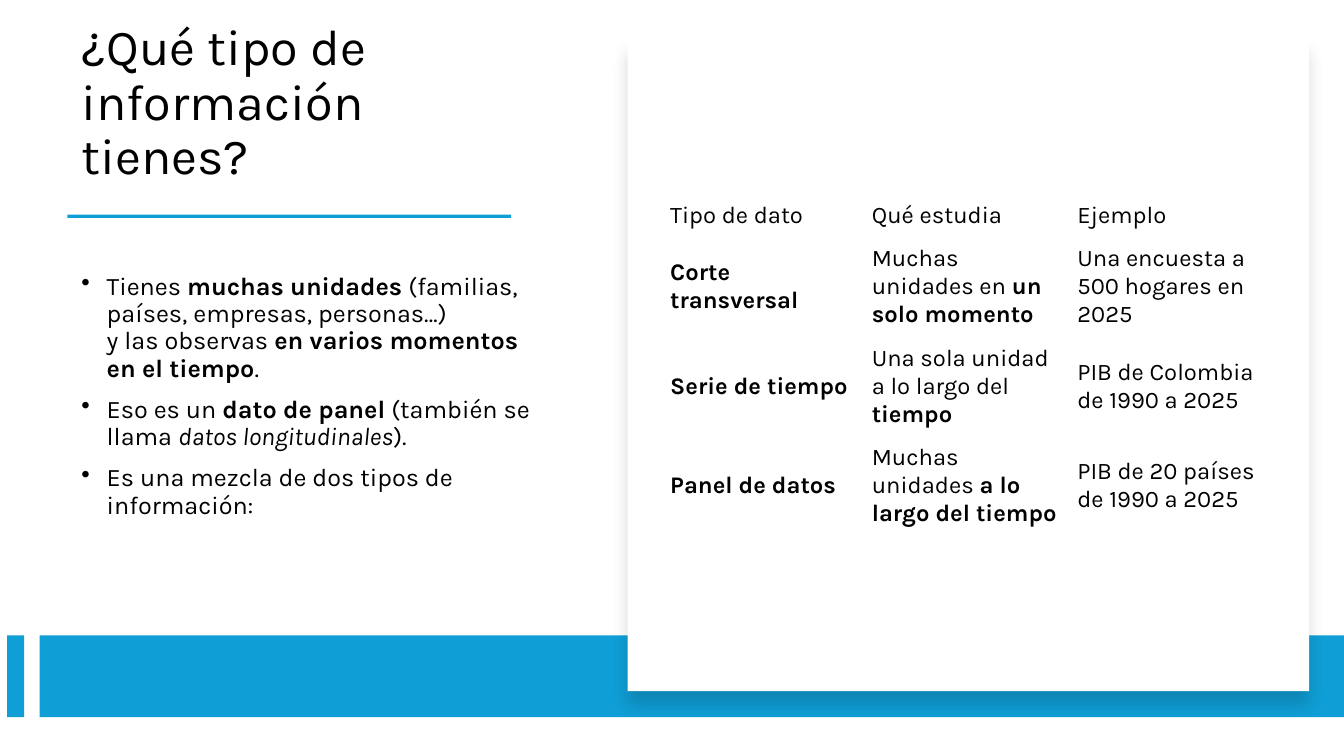
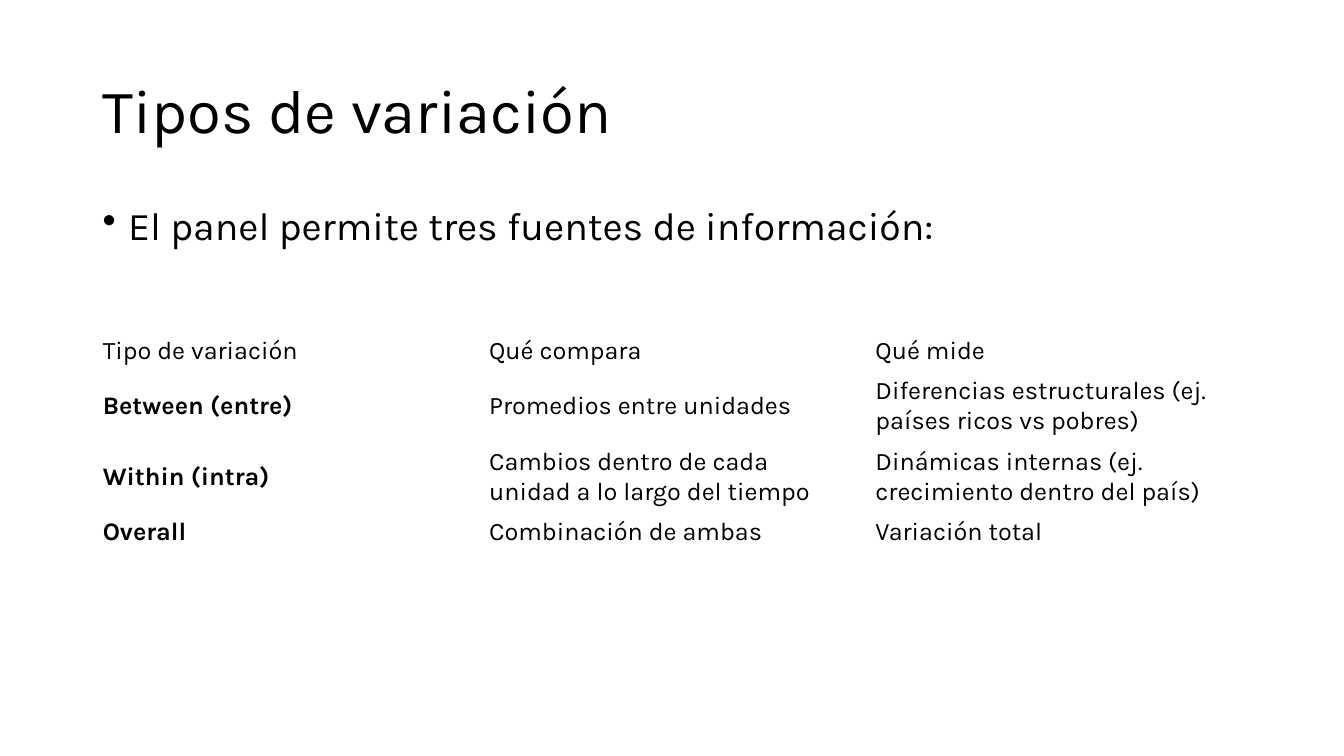
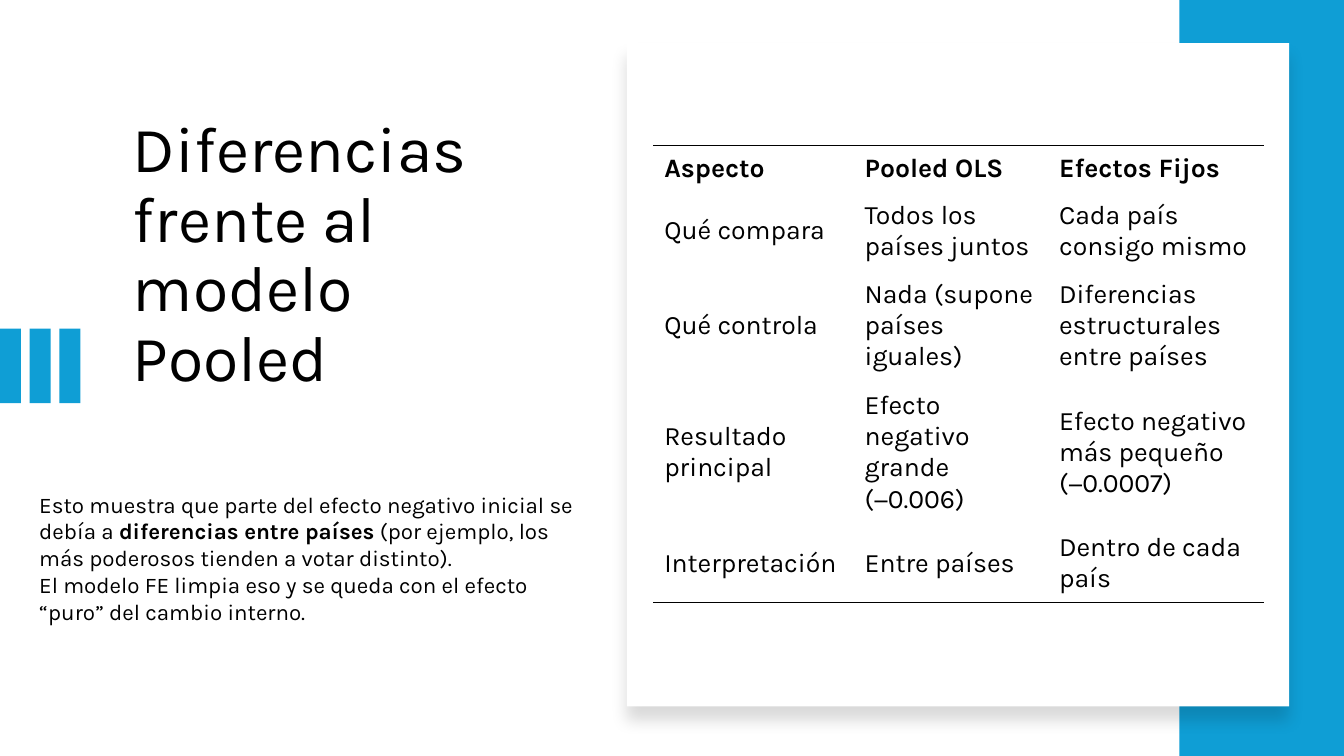
"""Build three slides on panel data with a shared theme."""
from dataclasses import dataclass

from lxml import etree
from pptx import Presentation, util as u
from pptx.dml.color import RGBColor
from pptx.enum import shapes, text
from pptx.oxml import parse_xml
from pptx.oxml.ns import nsdecls, qn

ANCHOR = text.MSO_ANCHOR


@dataclass(frozen=True)
class Theme:
    """Colours, font and type sizes of the deck."""
    font: str = "Karla"
    ink: str = "000000"
    accent: str = "0F9ED5"
    paper: str = "FFFFFF"
    small: int = 16
    table_small: int = 17
    body: int = 18
    table_large: int = 19
    lead: int = 28
    title_small: int = 36
    title: int = 44
    title_large: int = 46
    line_spacing: float = 0.9
    paragraph_gap: int = 10
    bullet_indent: float = 0.64
    plain_table: str = "{2D5ABB26-0587-4C30-8999-92F81FD0307C}"


THEME = Theme()


def apply(target, values):
    """Set each attribute of the target from a dict."""
    for name, value in values.items():
        setattr(target, name, value)


def cm(*lengths):
    """Convert numbers to centimetre lengths."""
    return [u.Cm(length) for length in lengths]


def bold(words):
    """Mark words as bold."""
    return words, {"bold": True}


def italic(words):
    """Mark words as italic."""
    return words, {"italic": True}


def fill_para(para, spans, size):
    """Write plain or marked spans, turning newlines into line breaks."""
    for item in spans:
        words, style = (item, {}) if isinstance(item, str) else item
        for number, line in enumerate(words.split("\n")):
            if number:
                para.add_line_break()
            span = para.add_run()
            span.text = line
            apply(span.font, {"name": THEME.font, "size": u.Pt(size), **style})
            span.font.color.rgb = RGBColor.from_string(THEME.ink)


def add_bullet(para):
    """Give the paragraph a bullet with a hanging indent."""
    props = para._p.get_or_add_pPr()
    indent = u.Cm(THEME.bullet_indent)
    props.set("marL", str(indent))
    props.set("indent", str(-indent))
    etree.SubElement(props, qn("a:buChar")).set("char", "•")


def add_text(page, place, paras, size, anchor=ANCHOR.TOP,
             spacing=THEME.line_spacing, bullets=False):
    """Add a wrapped text box of paragraphs, each a list of spans."""
    frame = page.shapes.add_textbox(*cm(*place)).text_frame
    apply(frame, {"word_wrap": True, "vertical_anchor": anchor})
    for number, spans in enumerate(paras):
        para = frame.add_paragraph() if number else frame.paragraphs[0]
        if bullets:
            add_bullet(para)
        para.line_spacing = spacing
        if number:
            para.space_before = u.Pt(THEME.paragraph_gap)
        fill_para(para, spans, size)


def add_title(page, place, words, size=THEME.title, anchor=ANCHOR.TOP):
    """Add a slide title."""
    add_text(page, place, [[words]], size, anchor)


def add_block(page, place, colour=THEME.accent):
    """Add a flat rectangle without outline."""
    block = page.shapes.add_shape(shapes.MSO_SHAPE.RECTANGLE, *cm(*place))
    block.shadow.inherit = False
    block.fill.solid()
    block.fill.fore_color.rgb = RGBColor.from_string(colour)
    block.line.fill.background()
    return block


def add_card(page, place):
    """Add a white panel with a soft shadow below it."""
    card = add_block(page, place, THEME.paper)
    effects = card._element.spPr.find(qn("a:effectLst"))
    effects.append(parse_xml(
        f'<a:outerShdw {nsdecls("a")} blurRad="{u.Pt(11)}" dist="{u.Pt(10)}" '
        'dir="5400000" algn="t" rotWithShape="0">'
        f'<a:srgbClr val="{THEME.ink}"><a:alpha val="15000"/></a:srgbClr>'
        '</a:outerShdw>'))


def add_border(cell, side):
    """Draw a one-point rule on the given side of a cell."""
    cell._tc.get_or_add_tcPr().insert(0, parse_xml(
        f'<a:ln{side} {nsdecls("a")} w="{u.Pt(1)}"><a:solidFill>'
        f'<a:srgbClr val="{THEME.ink}"/></a:solidFill></a:ln{side}>'))


def add_table(page, corner, widths, heights, rows, size, margin=0.25, ruled=False):
    """Add an unfilled table, optionally ruled above and below."""
    place = (*corner, sum(widths), sum(heights))
    table = page.shapes.add_table(len(rows), len(widths), *cm(*place)).table
    apply(table, {"first_row": False, "horz_banding": False})
    table._tbl.tblPr.find(qn("a:tableStyleId")).text = THEME.plain_table
    for column, width in zip(table.columns, widths):
        column.width = u.Cm(width)
    for row, height in zip(table.rows, heights):
        row.height = u.Cm(height)
    for r, row in enumerate(rows):
        for c, spans in enumerate(row):
            cell = table.cell(r, c)
            apply(cell, {"vertical_anchor": ANCHOR.MIDDLE,
                         "margin_left": u.Cm(margin), "margin_right": u.Cm(margin)})
            cell.fill.background()
            fill_para(cell.text_frame.paragraphs[0], spans, size)
            if ruled and r == 0:
                add_border(cell, "T")
            if ruled and r == len(rows) - 1:
                add_border(cell, "B")


def build_data_types(page):
    """Compare the three types of data."""
    add_title(page, (1.8, 1.47, 11.89, 3.33), "¿Qué tipo de información tienes?",
              THEME.title_small, ANCHOR.BOTTOM)
    add_block(page, (1.7, 5.41, 11.18, 0.08))
    add_text(page, (1.8, 5.64, 11.89, 8.71), [
        ["Tienes ", bold("muchas unidades"),
         " (familias, países, empresas, personas…)\ny las observas ",
         bold("en varios momentos en el tiempo"), "."],
        ["Eso es un ", bold("dato de panel"), " (también se llama ",
         italic("datos longitudinales"), ")."],
        ["Es una mezcla de dos tipos de información:"],
    ], THEME.body, ANCHOR.MIDDLE, bullets=True)
    for left, width in ((0.18, 0.43), (1, 32.87)):
        add_block(page, (left, 16.01, width, 2.06))
    add_card(page, (15.82, 0.99, 17.17, 16.43))
    add_table(page, (16.64, 4.9), (5.08, 5.18, 5.36), [1.07] + [2.51] * 3, [
        [["Tipo de dato"], ["Qué estudia"], ["Ejemplo"]],
        [[bold("Corte transversal")],
         ["Muchas unidades en ", bold("un solo momento")],
         ["Una encuesta a 500 hogares en 2025"]],
        [[bold("Serie de tiempo")],
         ["Una sola unidad a lo largo del ", bold("tiempo")],
         ["PIB de Colombia de 1990 a 2025"]],
        [[bold("Panel de datos")],
         ["Muchas unidades ", bold("a lo largo del tiempo")],
         ["PIB de 20 países de 1990 a 2025"]],
    ], THEME.table_small)


def build_variation(page):
    """List the sources of variation in a panel."""
    left, width = 2.34, 29.21
    add_title(page, (left, 1.02, width, 3.68), "Tipos de variación",
              anchor=ANCHOR.MIDDLE)
    add_text(page, (left, 5.08, width, 1.9),
             [["El panel permite tres fuentes de información:"]],
             THEME.lead, bullets=True)
    add_table(page, (left, 8.33), [width / 3] * 3, (0.99, 1.73, 1.73, 0.99), [
        [["Tipo de variación"], ["Qué compara"], ["Qué mide"]],
        [[bold("Between (entre)")], ["Promedios entre unidades"],
         ["Diferencias estructurales (ej. países ricos vs pobres)"]],
        [[bold("Within (intra)")],
         ["Cambios dentro de cada unidad a lo largo del tiempo"],
         ["Dinámicas internas (ej. crecimiento dentro del país)"]],
        [[bold("Overall")], ["Combinación de ambas"], ["Variación total"]],
    ], THEME.body)


def build_pooled(page):
    """Contrast pooled OLS with fixed effects."""
    add_title(page, (3.1, 2.82, 11.2, 6.63), "Diferencias frente al modelo Pooled",
              THEME.title_large)
    for number in range(3):
        add_block(page, (number * 0.75, 8.28, 0.53, 1.88))
    add_block(page, (29.72, 0, 4.15, 19.05))
    add_card(page, (15.8, 1.09, 16.69, 16.71))
    add_table(page, (16.46, 3.66), (5.05, 4.9, 5.44), (1.17, 1.98, 2.79, 3.61, 1.98), [
        [[bold("Aspecto")], [bold("Pooled OLS")], [bold("Efectos Fijos")]],
        [["Qué compara"], ["Todos los países juntos"], ["Cada país consigo mismo"]],
        [["Qué controla"], ["Nada (supone países iguales)"],
         ["Diferencias estructurales entre países"]],
        [["Resultado principal"], ["Efecto negativo grande (−0.006)"],
         ["Efecto negativo más pequeño (−0.0007)"]],
        [["Interpretación"], ["Entre países"], ["Dentro de cada país"]],
    ], THEME.table_large, margin=0.28, ruled=True)
    add_text(page, (0.74, 12.24, 14.25, 4.45), [[
        "Esto muestra que parte del efecto negativo inicial se debía a ",
        bold("diferencias entre países"),
        " (por ejemplo, los más poderosos tienden a votar distinto).\n"
        "El modelo FE limpia eso y se queda con el efecto “puro” del cambio interno.",
    ]], THEME.small, spacing=1.0)


def main():
    """Create the deck and save it."""
    deck = Presentation()
    apply(deck, {"slide_width": u.Cm(33.87), "slide_height": u.Cm(19.05)})
    for build in (build_data_types, build_variation, build_pooled):
        build(deck.slides.add_slide(deck.slide_layouts[6]))
    deck.save("out.pptx")


if __name__ == "__main__":
    main()
